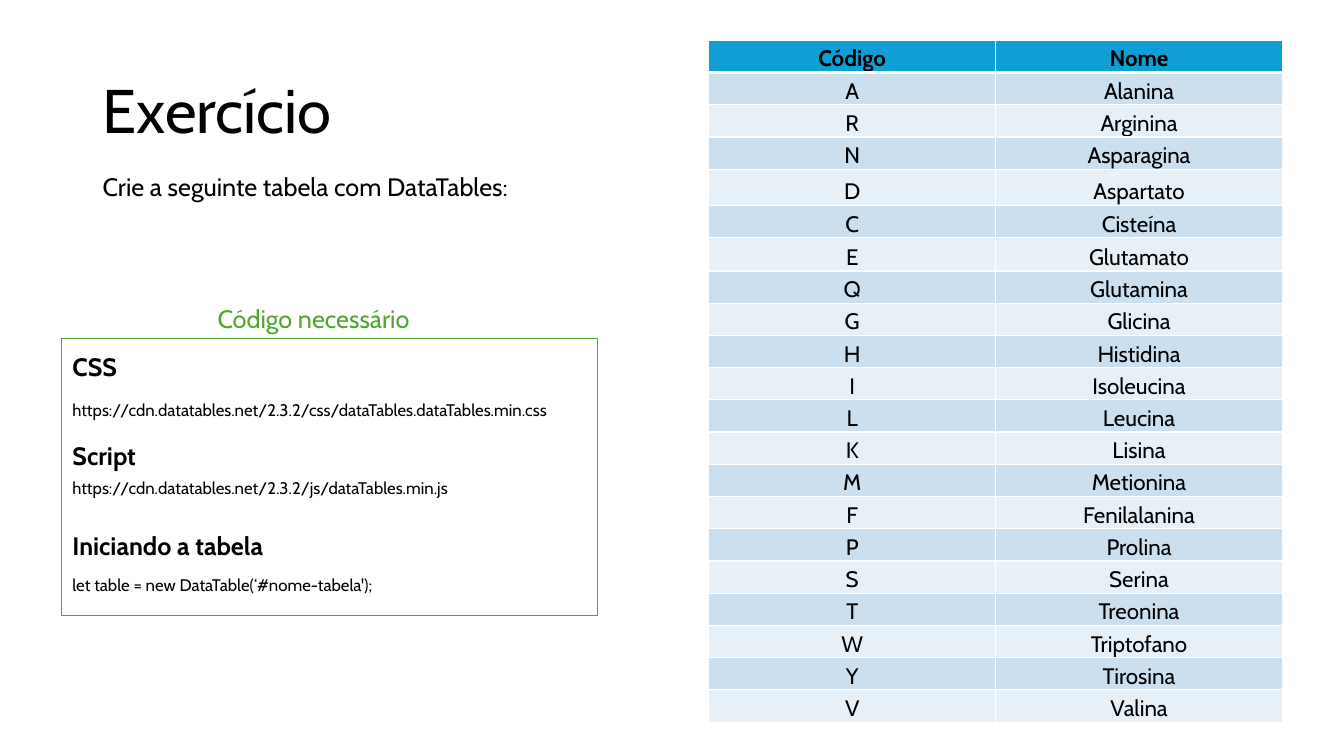
from lxml import etree
from pptx import Presentation
from pptx.dml.color import RGBColor
from pptx.enum.shapes import MSO_SHAPE
from pptx.enum.text import MSO_ANCHOR, MSO_AUTO_SIZE, PP_ALIGN
from pptx.oxml.ns import qn
from pptx.util import Inches, Pt

RECTANGLE = MSO_SHAPE.RECTANGLE
MIDDLE, BOTTOM = MSO_ANCHOR.MIDDLE, MSO_ANCHOR.BOTTOM
FIT_SHAPE, NO_FIT = MSO_AUTO_SIZE.SHAPE_TO_FIT_TEXT, MSO_AUTO_SIZE.NONE
LEFT, CENTER = PP_ALIGN.LEFT, PP_ALIGN.CENTER

BLACK = RGBColor(0x00, 0x00, 0x00)
WHITE = RGBColor(0xFF, 0xFF, 0xFF)
GREEN = RGBColor(0x4E, 0xA7, 0x2E)
HEADER_BLUE = RGBColor(0x0F, 0x9E, 0xD5)
BAND_DARK = RGBColor(0xCC, 0xDF, 0xEF)
BAND_LIGHT = RGBColor(0xE7, 0xF0, 0xF7)

AMINO_ACIDS = [
    ("Código", "Nome"),
    ("A", "Alanina"), ("R", "Arginina"), ("N", "Asparagina"),
    ("D", "Aspartato"), ("C", "Cisteína"), ("E", "Glutamato"),
    ("Q", "Glutamina"), ("G", "Glicina"), ("H", "Histidina"),
    ("I", "Isoleucina"), ("L", "Leucina"), ("K", "Lisina"),
    ("M", "Metionina"), ("F", "Fenilalanina"), ("P", "Prolina"),
    ("S", "Serina"), ("T", "Treonina"), ("W", "Triptofano"),
    ("Y", "Tirosina"), ("V", "Valina"),
]
ROW_HEIGHT = 0.32
TALLER_ROWS = {4: 0.36, 6: 0.33}

CODE_SECTIONS = [
    ("CSS", 3.44, 0.68,
     "https://cdn.datatables.net/2.3.2/css/dataTables.dataTables.min.css", 3.92, 5.1),
    ("Script", 4.32, 0.89,
     "https://cdn.datatables.net/2.3.2/js/dataTables.min.js", 4.69, 4.03),
    ("Iniciando a tabela", 5.21, 2.24,
     "let table = new DataTable(‘#nome-tabela');", 5.65, 3.27),
]


def set_attributes(target, values):
    for name, value in values.items():
        setattr(target, name, value)


class SlideBuilder:
    font_name = "Cabin"

    def __init__(self, slide):
        self.slide = slide

    def fill_paragraph(self, paragraph, text, size, color=BLACK, bold=False):
        paragraph.text = text
        font = paragraph.runs[0].font
        set_attributes(font, {"name": self.font_name, "size": Pt(size), "bold": bold})
        font.color.rgb = color

    def title(self, text, left, top, width, height):
        title = self.slide.shapes.title
        set_attributes(title, {"left": Inches(left), "top": Inches(top),
                               "width": Inches(width), "height": Inches(height)})
        frame = title.text_frame
        set_attributes(frame, {"vertical_anchor": MIDDLE, "word_wrap": True,
                               "auto_size": NO_FIT})
        paragraph = frame.paragraphs[0]
        self.fill_paragraph(paragraph, text, 44)
        set_attributes(paragraph, {"alignment": LEFT, "line_spacing": 0.9})

    def text(self, text, left, top, width, height=0.4, size=18, **style):
        box = self.slide.shapes.add_textbox(
            Inches(left), Inches(top), Inches(width), Inches(height))
        set_attributes(box.text_frame, {"word_wrap": False, "auto_size": FIT_SHAPE})
        self.fill_paragraph(box.text_frame.paragraphs[0], text, size, **style)

    def frame(self, left, top, width, height, color):
        shape = self.slide.shapes.add_shape(
            RECTANGLE, Inches(left), Inches(top), Inches(width), Inches(height))
        shape.shadow.inherit = False
        shape.fill.background()
        shape.line.color.rgb = color
        shape.line.width = Pt(0.75)

    def border(self, cell, side, width):
        properties = cell._tc.get_or_add_tcPr()
        line = etree.SubElement(properties, qn(f"a:ln{side}"), w=str(Pt(width)))
        fill = etree.SubElement(line, qn("a:solidFill"))
        etree.SubElement(fill, qn("a:srgbClr"), val=str(WHITE))

    def cell(self, cell, text, row):
        is_header = row == 0
        set_attributes(cell, {
            "vertical_anchor": BOTTOM, "margin_left": Inches(0.01),
            "margin_right": Inches(0.01), "margin_top": Inches(0.01),
            "margin_bottom": 0})
        widths = {"L": 1, "R": 1, "T": 3 if row == 1 else 1, "B": 3 if is_header else 1}
        for side, width in widths.items():
            self.border(cell, side, width)
        cell.fill.solid()
        band = BAND_DARK if row % 2 else BAND_LIGHT
        cell.fill.fore_color.rgb = HEADER_BLUE if is_header else band
        paragraph = cell.text_frame.paragraphs[0]
        self.fill_paragraph(paragraph, text, 16, bold=is_header)
        paragraph.alignment = CENTER

    def table(self, rows, left, top, width, height):
        columns = len(rows[0])
        table = self.slide.shapes.add_table(
            len(rows), columns, Inches(left), Inches(top),
            Inches(width), Inches(height)).table
        for row, values in enumerate(rows):
            table.rows[row].height = Inches(TALLER_ROWS.get(row, ROW_HEIGHT))
            for column, value in enumerate(values):
                self.cell(table.cell(row, column), value, row)


def main():
    presentation = Presentation()
    presentation.slide_width = Inches(13.33)
    presentation.slide_height = Inches(7.5)
    slide = presentation.slides.add_slide(presentation.slide_layouts[5])
    builder = SlideBuilder(slide)

    builder.title("Exercício", 0.92, 0.4, 11.5, 1.45)
    builder.text("Crie a seguinte tabela com DataTables:", 0.92, 1.65, 4.43)
    builder.table(AMINO_ACIDS, 7.03, 0.4, 5.69, 6.7)
    for heading, heading_top, heading_width, code, code_top, code_width in CODE_SECTIONS:
        builder.text(heading, 0.62, heading_top, heading_width, bold=True)
        builder.text(code, 0.62, code_top, code_width, height=0.3, size=12)
    builder.frame(0.61, 3.36, 5.32, 2.75, GREEN)
    builder.text("Código necessário", 2.06, 2.96, 2.23, color=GREEN)

    presentation.save("out.pptx")


if __name__ == "__main__":
    main()
